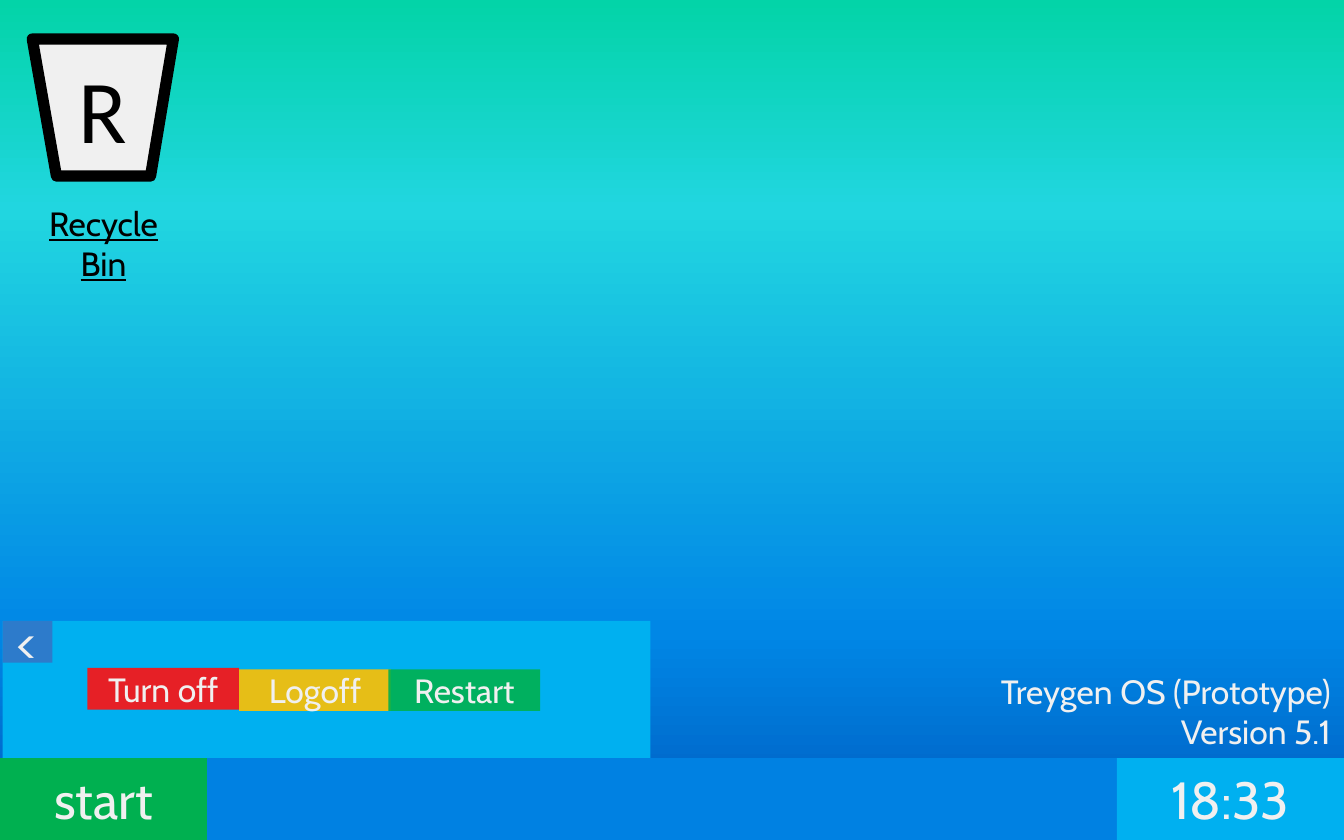
from lxml.etree import SubElement
from pptx import Presentation
from pptx.dml.color import RGBColor
from pptx.enum.shapes import MSO_SHAPE
from pptx.enum.text import MSO_ANCHOR, PP_ALIGN
from pptx.oxml.ns import qn
from pptx.util import Inches, Pt

COLORS = {
    "light": "F0F0F0", "black": "000000", "taskbar": "0081E2",
    "green": "00B050", "sky": "00B0F0", "red": "FF1111",
    "blue": "3276C8", "yellow": "FFC000",
}
WALLPAPER = [(0, "03D4A8"), (25, "21D6E0"), (75, "0087E6"), (100, "005CBF")]


def write(shape, text, size=18, font="Cabin", color="light",
          align=PP_ALIGN.CENTER, anchor=MSO_ANCHOR.MIDDLE, wrap=True, underline=None):
    frame = shape.text_frame
    frame.text = text
    frame.word_wrap = wrap
    frame.vertical_anchor = anchor
    for para in frame.paragraphs:
        para.alignment = align
        for span in para.runs:
            span.font.size = Pt(size)
            span.font.name = font
            span.font.underline = underline
            span.font.color.rgb = RGBColor.from_string(COLORS[color])


def paint(shape, color, opacity=100):
    """Give a shape a plain fill, with neither outline nor shadow."""
    shape.shadow.inherit = False
    shape.fill.solid()
    shape.fill.fore_color.rgb = RGBColor.from_string(COLORS[color])
    shape.line.fill.background()
    if opacity < 100:
        swatch = shape.element.spPr.find(qn("a:solidFill"))[0]
        SubElement(swatch, qn("a:alpha"), val=str(opacity * 1000))


deck = Presentation()
deck.slide_width, deck.slide_height = Inches(10), Inches(6.25)
page = deck.slides.add_slide(deck.slide_layouts[6])

# Wallpaper, running from top to bottom
wallpaper = page.background.fill
wallpaper.gradient()
wallpaper.gradient_angle = 270
stops = next(page.element.iter(qn("a:gsLst")))
for stop in list(stops):
    stops.remove(stop)
for position, color in WALLPAPER:
    stop = SubElement(stops, qn("a:gs"), pos=str(position * 1000))
    SubElement(stop, qn("a:srgbClr"), val=color)

# Recycle bin icon and its label
corners = [(Inches(x), Inches(y))
           for x, y in [(0.24, 0.29), (1.29, 0.29), (1.12, 1.31), (0.42, 1.31)]]
builder = page.shapes.build_freeform(*corners[0])
builder.add_line_segments(corners[1:], close=True)
recycle_bin = builder.convert_to_shape()
paint(recycle_bin, "light")
recycle_bin.line.color.rgb = RGBColor.from_string(COLORS["black"])
recycle_bin.line.width = Pt(6)
write(recycle_bin, "R", size=48, font="Calibri", color="black")

label = page.shapes.add_textbox(Inches(0.08), Inches(1.46), Inches(1.38), Inches(0.4))
write(label, "Recycle Bin", color="black", anchor=MSO_ANCHOR.TOP, underline=True)

# Taskbar, start menu and buttons: left, top, width, height, color, opacity, text, size
blocks = [
    (1.54, 5.64, 8.46, 0.61, "taskbar", 100, "", 28),
    (0, 5.64, 1.54, 0.61, "green", 100, "start", 28),
    (8.31, 5.64, 1.69, 0.61, "sky", 100, "18:33", 28),
    (0.02, 4.62, 4.82, 1.02, "sky", 100, "", 18),
    (0.65, 4.97, 1.13, 0.31, "red", 90, "Turn off", 18),
    (0.02, 4.62, 0.37, 0.31, "blue", 90, "<", 28),
    (1.78, 4.98, 1.13, 0.31, "yellow", 90, "Logoff", 18),
    (2.89, 4.98, 1.13, 0.31, "green", 90, "Restart", 18),
]
for left, top, width, height, color, opacity, text, size in blocks:
    block = page.shapes.add_shape(
        MSO_SHAPE.RECTANGLE, Inches(left), Inches(top), Inches(width), Inches(height))
    paint(block, color, opacity)
    if text:
        write(block, text, size=size)

# Version note
version = page.shapes.add_textbox(Inches(7.34), Inches(4.94), Inches(2.66), Inches(0.71))
write(version, "Treygen OS (Prototype)\nVersion 5.1",
      align=PP_ALIGN.RIGHT, anchor=MSO_ANCHOR.TOP, wrap=False)

deck.save("out.pptx")
